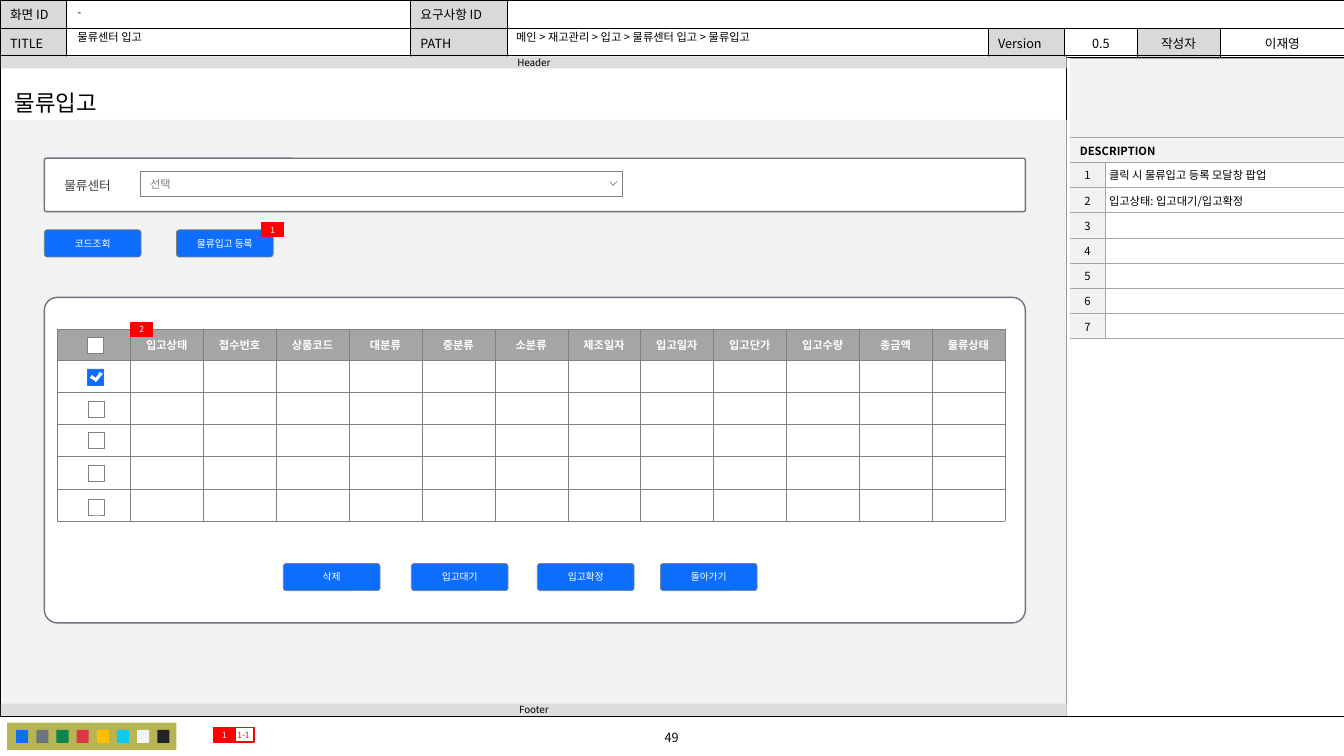
from typing import Any, NamedTuple, Optional

from pptx import Presentation
from pptx import util as u
from pptx.dml.color import RGBColor
from pptx.enum import shapes, text
from pptx.oxml.xmlchemy import OxmlElement

BLACK = RGBColor(0x00, 0x00, 0x00)
WHITE = RGBColor(0xFF, 0xFF, 0xFF)
DARK = RGBColor(0x40, 0x40, 0x40)
GRAY = RGBColor(0x80, 0x80, 0x80)
SLATE = RGBColor(0x6C, 0x75, 0x7D)
RULE = RGBColor(0xA6, 0xA6, 0xA6)
HEADING = RGBColor(0xA5, 0xA5, 0xA5)
LABEL = RGBColor(0xD9, 0xD9, 0xD9)
BAR = RGBColor(0xDD, 0xDD, 0xDD)
PALE = RGBColor(0xF2, 0xF2, 0xF2)
BLUE = RGBColor(0x0D, 0x6E, 0xFD)
CHECK_EDGE = RGBColor(0x32, 0x72, 0xDD)
RED = RGBColor(0xFF, 0x00, 0x00)
OLIVE = RGBColor(0xB7, 0xB5, 0x53)
PALETTE = [BLUE, SLATE, RGBColor(0x10, 0x83, 0x4E), RGBColor(0xDC, 0x35, 0x45),
           RGBColor(0xFF, 0xBE, 0x00), RGBColor(0x0D, 0xCA, 0xF0), PALE,
           RGBColor(0x21, 0x25, 0x29)]

NOTO = "Noto Sans CJK KR"
LEFT, CENTER = text.PP_ALIGN.LEFT, text.PP_ALIGN.CENTER
TOP, MIDDLE = text.MSO_ANCHOR.TOP, text.MSO_ANCHOR.MIDDLE
RECT = shapes.MSO_SHAPE.RECTANGLE
ROUND = shapes.MSO_SHAPE.ROUNDED_RECTANGLE
NO_MARGINS = (0, 0, 0, 0)
TEXT_MARGINS = (0.1, 0.05, 0.1, 0.05)
SIDES = ("left", "top", "right", "bottom")


class Style(NamedTuple):
    size: float
    color: RGBColor = BLACK
    align: Any = LEFT
    bold: bool = False
    font: str = NOTO
    margins: tuple = TEXT_MARGINS
    anchor: Any = MIDDLE
    spacing: float = 1.0


class Box(NamedTuple):
    left: float
    top: float
    width: float
    height: float
    fill: Optional[RGBColor] = None
    line: Optional[RGBColor] = None
    weight: float = 0.5
    radius: Optional[float] = None
    words: str = ""
    style: Style = Style(7, align=CENTER, margins=NO_MARGINS)


FIELD = Style(8, spacing=0.9)
BUTTON = Style(7, WHITE, CENTER, font="Cabin", margins=(0.11, 0.07, 0.11, 0.07))
BADGE = Style(6, WHITE, CENTER, margins=NO_MARGINS)
INFO = Style(9, anchor=TOP)
NUMBER = Style(8, align=CENTER, margins=NO_MARGINS)
NOTE = Style(8, margins=(0.04, 0.02, 0.04, 0.02))
COLUMN = Style(8, WHITE, CENTER, True, margins=(0.06, 0.04, 0.06, 0.04))


def apply_format(target: Any, values: dict) -> None:
    for name, value in values.items():
        setattr(target, name, value)


def write(holder: Any, frame: Any, words: str, style: Style) -> None:
    """Set one paragraph; holder carries the margins and the anchor."""
    margins = {f"margin_{side}": u.Inches(margin) for side, margin in zip(SIDES, style.margins)}
    apply_format(holder, {**margins, "vertical_anchor": style.anchor})
    paragraph = frame.paragraphs[0]
    apply_format(paragraph, {"alignment": style.align, "line_spacing": style.spacing})
    if not words:
        end = OxmlElement("a:endParaRPr")
        end.set("sz", str(int(style.size * 100)))
        paragraph._p.append(end)
        return
    run = paragraph.add_run()
    run.text = words
    apply_format(run.font, {"name": style.font, "size": u.Pt(style.size), "bold": style.bold})
    run.font.color.rgb = style.color
    east_asian = OxmlElement("a:ea")
    east_asian.set("typeface", style.font)
    run._r.get_or_add_rPr().append(east_asian)


def paint(shape: Any, fill: Optional[RGBColor], line: Optional[RGBColor], weight: float) -> None:
    shape.shadow.inherit = False
    for part, color in ((shape.fill, fill), (shape.line.fill, line)):
        if color is None:
            part.background()
        else:
            part.solid()
            part.fore_color.rgb = color
    if line is not None:
        shape.line.width = u.Pt(weight)


def add_box(slide: Any, box: Box) -> None:
    kind = RECT if box.radius is None else ROUND
    shape = slide.shapes.add_shape(kind, *map(u.Inches, box[:4]))
    if box.radius is not None:
        shape.adjustments[0] = box.radius
    paint(shape, box.fill, box.line, box.weight)
    if box.words:
        shape.text_frame.word_wrap = True
        write(shape.text_frame, shape.text_frame, box.words, box.style)


def add_label(slide: Any, place: tuple, words: str, style: Style, wrap: bool = True) -> None:
    frame = slide.shapes.add_textbox(*map(u.Inches, place)).text_frame
    frame.word_wrap = wrap
    write(frame, frame, words, style)


def add_outline(slide: Any, points: list, closed: bool, line: Optional[RGBColor]) -> None:
    start, *rest = [(u.Inches(x), u.Inches(y)) for x, y in points]
    builder = slide.shapes.build_freeform(*start)
    builder.add_line_segments(rest, close=closed)
    paint(builder.convert_to_shape(), WHITE, line, 0.5)


def add_grid(slide: Any, left: float, top: float, widths: list, heights: list) -> Any:
    table = slide.shapes.add_table(len(heights), len(widths), *map(
        u.Inches, (left, top, sum(widths), sum(heights)))).table
    apply_format(table, {"first_row": False, "horz_banding": False})
    for column, width in zip(table.columns, widths):
        column.width = u.Inches(width)
    for row, height in zip(table.rows, heights):
        row.height = u.Inches(height)
    return table


def set_cell(cell: Any, words: str, style: Style, fill: Optional[RGBColor],
             line: RGBColor, weight: float, edges: str = "LRTB") -> None:
    properties = cell._tc.get_or_add_tcPr()
    for edge in "LRTB":
        border = OxmlElement(f"a:ln{edge}")
        border.set("w", str(u.Pt(weight)))
        paint_kind = OxmlElement("a:solidFill" if edge in edges else "a:noFill")
        if edge in edges:
            color = OxmlElement("a:srgbClr")
            color.set("val", str(line))
            paint_kind.append(color)
        border.append(paint_kind)
        properties.append(border)
    if fill is None:
        cell.fill.background()
    else:
        cell.fill.solid()
        cell.fill.fore_color.rgb = fill
    write(cell, cell.text_frame, words, style)


def add_info_table(slide: Any) -> None:
    rows = [["화면 ID", "", "요구사항 ID", "", "", "", "", ""],
            ["TITLE", "", "PATH", "", "Version", "0.5", "작성자", "이재영"]]
    table = add_grid(slide, 0, 0, [0.66, 3.41, 0.96, 4.77, 0.76, 0.72, 0.82, 1.24], [0.28] * 2)
    for r, row in enumerate(rows):
        for c, words in enumerate(row):
            style = INFO._replace(align=CENTER if c > 4 else LEFT)
            fill = LABEL if c % 2 == 0 and words else WHITE
            set_cell(table.cell(r, c), words, style, fill, BLACK, 0.5)
    table.cell(0, 3).merge(table.cell(0, 7))


def add_description_table(slide: Any) -> None:
    notes = ["클릭 시 물류입고 등록 모달창 팝업", "입고상태: 입고대기/입고확정"] + [""] * 5
    table = add_grid(slide, 10.61, 0.58, [0.35, 2.37], [0.78] + [0.25] * 8)
    for r, words in enumerate(["", "DESCRIPTION"]):
        for c, content in enumerate([words, ""]):
            set_cell(table.cell(r, c), content, Style(8, bold=True), PALE, RULE, 0.5, "TB")
        table.cell(r, 0).merge(table.cell(r, 1))
    for number, note in enumerate(notes, 1):
        set_cell(table.cell(number + 1, 0), str(number), NUMBER, PALE, RULE, 0.5, "RTB")
        set_cell(table.cell(number + 1, 1), note, NOTE, None, RULE, 0.5, "LTB")


def add_stock_table(slide: Any) -> None:
    titles = ["", "입고상태", "접수번호", "상품코드", "대분류", "중분류", "소분류", "제조일자",
              "입고일자", "입고단가", "입고수량", "총금액", "물류상태"]
    table = add_grid(slide, 0.57, 3.27, [9.4 / len(titles)] * len(titles), [0.3] + [0.32] * 5)
    for r in range(6):
        for c, title in enumerate(titles):
            set_cell(table.cell(r, c), "" if r else title, COLUMN,
                     WHITE if r else HEADING, GRAY, 0.25)


def main() -> None:
    presentation = Presentation()
    apply_format(presentation, {"slide_width": u.Inches(13.33), "slide_height": u.Inches(7.5)})
    slide = presentation.slides.add_slide(presentation.slide_layouts[6])

    # Page frame, palette and bars
    add_info_table(slide)
    add_box(slide, Box(0, 0.55, 13.33, 6.56, line=BLACK, weight=0.25))
    add_label(slide, (5.37, 7.19, 2.58, 0.25), "49", Style(9, align=CENTER))
    divider = slide.shapes.add_connector(
        shapes.MSO_CONNECTOR.STRAIGHT, *map(u.Inches, (10.58, 0.56, 10.58, 7.11)))
    divider.line.color.rgb = BLACK
    divider.line.width = u.Pt(0.5)
    divider._element.spPr.append(OxmlElement("a:effectLst"))
    add_box(slide, Box(0.07, 7.17, 1.68, 0.27, OLIVE))
    for i, color in enumerate(PALETTE):
        add_box(slide, Box(0.16 + 0.2 * i, 7.24, 0.12, 0.13, color))
    add_box(slide, Box(0.02, 1.19, 10.56, 5.91, PALE))
    for top, words in ((6.98, "Footer"), (0.56, "Header")):
        add_box(slide, Box(0.01, top, 10.57, 0.12, BAR, words=words))
    add_description_table(slide)

    # Header values and page title
    add_label(slide, (5.02, 0.26, 4.74, 0.23), "메인 > 재고관리 > 입고 > 물류센터 입고 > 물류입고", FIELD)
    add_label(slide, (0.67, 0.01, 3.4, 0.23), "-", FIELD)
    add_label(slide, (0.67, 0.28, 3.38, 0.2), "물류센터 입고", FIELD)
    add_label(slide, (0.05, 0.83, 1.1, 0.37), "물류입고", Style(16), wrap=False)

    # Search panel with drop-down
    add_box(slide, Box(0.44, 1.57, 9.73, 0.53, WHITE, SLATE, 1, 0.04))
    add_label(slide, (0.54, 1.71, 0.68, 0.25), "물류센터", Style(9, DARK), wrap=False)
    add_box(slide, Box(1.39, 1.7, 4.78, 0.25, WHITE, GRAY, words="선택", style=Style(
        8, GRAY, font="Cabin", margins=(0.1, 0.06, 0.28, 0.06))))
    add_outline(slide, [(6.12, 1.8), (6.08, 1.84), (6.05, 1.8)], False, GRAY)

    # Stock panel with check boxes
    add_box(slide, Box(0.44, 2.95, 9.73, 3.23, WHITE, SLATE, 1, 0.04))
    add_stock_table(slide)
    add_box(slide, Box(0.87, 3.66, 0.16, 0.16, BLUE, CHECK_EDGE))
    add_outline(slide, [(0.99, 3.69), (0.95, 3.75), (0.91, 3.72), (0.89, 3.75), (0.93, 3.77),
                        (0.95, 3.79), (0.97, 3.77), (1.02, 3.71)], True, None)
    for left, top in ((0.87, 3.35), (0.88, 3.98), (0.88, 4.29), (0.88, 4.62), (0.88, 4.95)):
        add_box(slide, Box(left, top, 0.16, 0.16, WHITE, GRAY))

    # Buttons
    for left, top, words in ((0.44, 2.28, "코드조회"), (1.75, 2.28, "물류입고 등록"),
                             (2.81, 5.59, "삭제"), (4.08, 5.59, "입고대기"),
                             (5.33, 5.59, "입고확정"), (6.55, 5.59, "돌아가기")):
        add_box(slide, Box(left, top, 0.96, 0.27, BLUE, GRAY, 0.5, 0.11, words, BUTTON))

    # Numbered badges
    add_box(slide, Box(2.31, 7.22, 0.21, 0.14, None, RED, 1, None, "1-1",
                       BADGE._replace(color=RED)))
    for left, top, words in ((2.12, 7.22, "1"), (2.6, 2.21, "1"), (1.3, 3.2, "2")):
        add_box(slide, Box(left, top, 0.21, 0.14, RED, RED, 1, None, words, BADGE))

    presentation.save("out.pptx")


if __name__ == "__main__":
    main()
